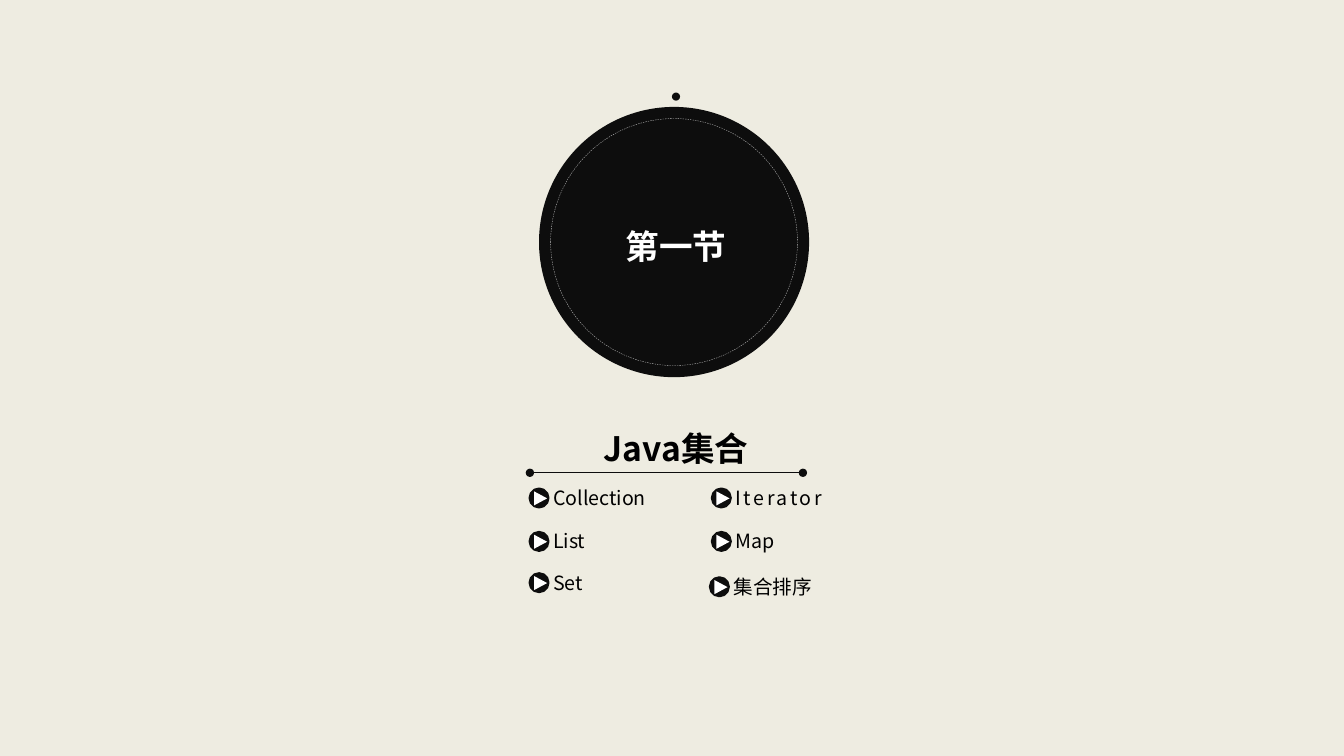
from dataclasses import dataclass
from lxml.etree import SubElement
from pptx import Presentation
from pptx.dml.color import RGBColor
from pptx.enum.dml import MSO_LINE
from pptx.enum.shapes import MSO_CONNECTOR, MSO_SHAPE
from pptx.enum.text import MSO_ANCHOR, MSO_AUTO_SIZE, PP_ALIGN
from pptx.oxml.ns import qn
from pptx.util import Pt


@dataclass(frozen=True)
class Theme:
    background: RGBColor = RGBColor.from_string("EEECE1")
    ink: RGBColor = RGBColor.from_string("0D0D0D")
    text: RGBColor = RGBColor.from_string("000000")
    white: RGBColor = RGBColor.from_string("FFFFFF")
    ring: RGBColor = RGBColor.from_string("BFBFBF")
    font: str = "Noto Sans CJK SC"
    heading_size: int = 24
    topic_size: int = 14


THEME = Theme()
HEADING_FRAME = {
    "vertical_anchor": MSO_ANCHOR.MIDDLE,
    "word_wrap": True,
    "auto_size": MSO_AUTO_SIZE.NONE,
}
TOPIC_FRAME = {
    "margin_left": 0,
    "margin_top": 0,
    "margin_right": 0,
    "margin_bottom": 0,
    "word_wrap": True,
    "auto_size": MSO_AUTO_SIZE.SHAPE_TO_FIT_TEXT,
}


def apply(target, formats):
    for attribute, value in formats.items():
        setattr(target, attribute, value)


def points(*lengths):
    return [Pt(length) for length in lengths]


def write(holder, wording, size, color, frame, bold=False, align=PP_ALIGN.LEFT, spacing=0):
    apply(holder.text_frame, frame)
    paragraph = holder.text_frame.paragraphs[0]
    paragraph.alignment = align
    run = paragraph.add_run()
    run.text = wording
    apply(run.font, {"name": THEME.font, "size": Pt(size), "bold": bold})
    run.font.color.rgb = color
    properties = run.font._element
    SubElement(properties, qn("a:ea"), typeface=THEME.font)
    if spacing:
        properties.set("spc", str(round(spacing * 100)))


def write_heading(holder, wording, color):
    write(holder, wording, THEME.heading_size, color, HEADING_FRAME, True, PP_ALIGN.CENTER)


def draw(shapes, preset, left, top, width, height, fill=None, line=None, weight=1):
    drawn = shapes.add_shape(preset, *points(left, top, width, height))
    drawn.shadow.inherit = False
    if fill is None:
        drawn.fill.background()
    else:
        drawn.fill.solid()
        drawn.fill.fore_color.rgb = fill
    if line is None:
        drawn.line.fill.background()
    else:
        drawn.line.color.rgb = line
        drawn.line.width = Pt(weight)
    return drawn


def add_medallion(slide, left, top, size, wording):
    shapes = slide.shapes
    inset = 8.3
    draw(shapes, MSO_SHAPE.OVAL, left, top, size, size, THEME.ink)
    draw(shapes, MSO_SHAPE.OVAL, left + 95, top - 10.3, 5.8, 5.8, THEME.ink)
    ring = draw(shapes, MSO_SHAPE.OVAL, left + inset, top + inset,
                size - 2 * inset, size - 2 * inset, None, THEME.ring, 0.25)
    ring.line.dash_style = MSO_LINE.DASH
    section = shapes.add_textbox(*points(left + 4.3, top + 80.7, 187.2, 37.4))
    write_heading(section, wording, THEME.white)


def add_title(slide, left, top, width, wording):
    title = slide.shapes.title
    apply(title, dict(zip(("left", "top", "width", "height"),
                          points(left + 10.8, top, 187.2, 37.4))))
    write_heading(title, wording, THEME.text)
    rule_top = top + 36.7
    rule = slide.shapes.add_connector(
        MSO_CONNECTOR.STRAIGHT, *points(left, rule_top, left + width, rule_top))
    rule.line.color.rgb = THEME.ink
    rule.line.width = Pt(0.75)
    outline = rule.line._get_or_add_ln()
    for end in ("a:headEnd", "a:tailEnd"):
        SubElement(outline, qn(end), type="oval")
    SubElement(rule._element.spPr, qn("a:effectLst"))


def add_topic(slide, left, top, wording, spacing=0):
    shapes = slide.shapes.add_group_shape().shapes
    topic = shapes.add_textbox(*points(left + 16.6, top, 96.5, 17.3))
    write(topic, wording, THEME.topic_size, THEME.text, TOPIC_FRAME, spacing=spacing)
    draw(shapes, MSO_SHAPE.OVAL, left, top + 2.2, 13, 13, THEME.ink, THEME.ink, 2)
    arrow = draw(shapes, MSO_SHAPE.ISOSCELES_TRIANGLE, left + 2.6, top + 4.3,
                 10.1, 9.4, THEME.white)
    arrow.rotation = 90


def add_topics(slide, left, top):
    right, second, third = 130.3, 31, 60.5
    topics = [
        (0, 0, "Collection", 0),
        (right, 0, "Iterator", 1.9),
        (0, second, "List", 0),
        (right, second, "Map", 0),
        (0, third, "Set", 0),
        (right - 1.4, third + 2.9, "集合排序", 0),
    ]
    for across, down, wording, spacing in topics:
        add_topic(slide, left + across, top + down, wording, spacing)


def build_section_slide(deck):
    slide = deck.slides.add_slide(deck.slide_layouts.get_by_name("Title Only"))
    slide.background.fill.solid()
    slide.background.fill.fore_color.rgb = THEME.background
    add_medallion(slide, 385.2, 76.4, 193, "第一节")
    add_title(slide, 378.7, 301, 195.1, "Java集合")
    add_topics(slide, 378.7, 347)


def main():
    deck = Presentation()
    apply(deck, {"slide_width": Pt(960.48), "slide_height": Pt(540)})
    build_section_slide(deck)
    deck.save("out.pptx")


if __name__ == "__main__":
    main()
